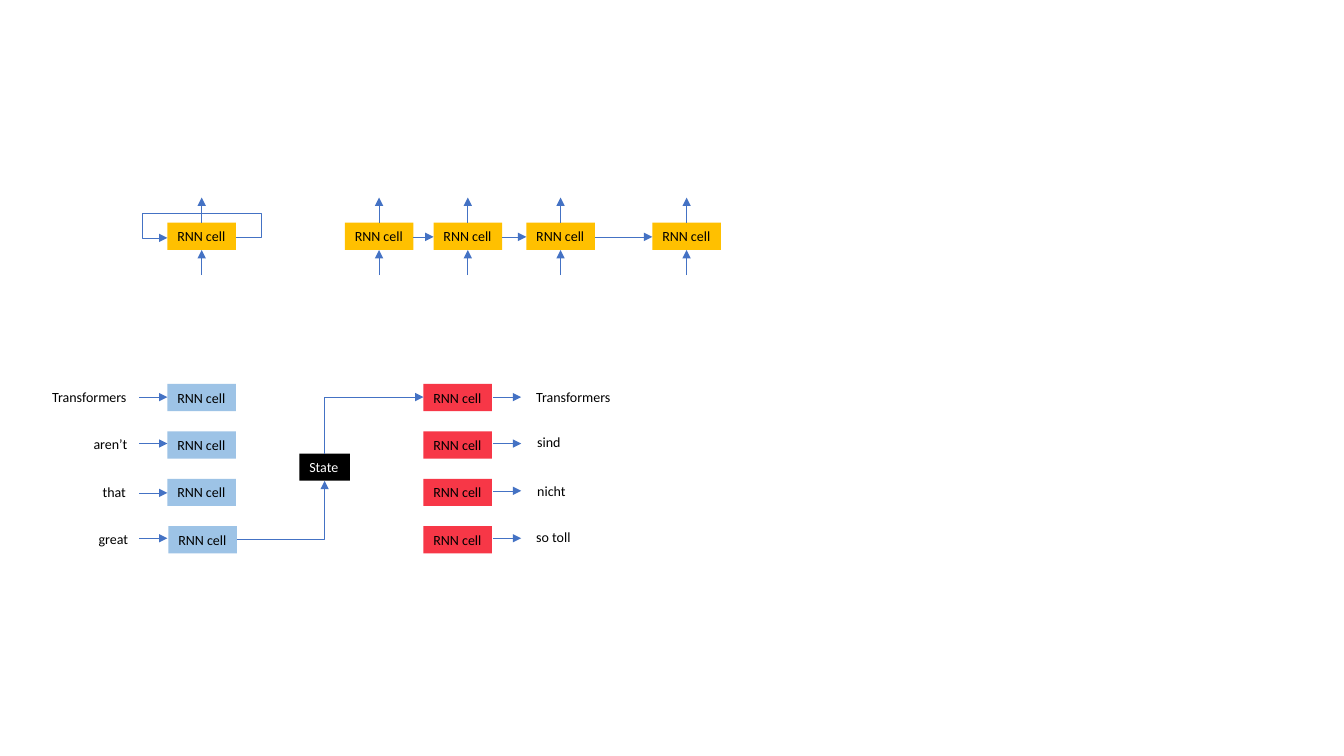
from dataclasses import dataclass

from lxml.etree import SubElement
from pptx import Presentation
from pptx.dml.color import RGBColor
from pptx.enum.shapes import MSO_CONNECTOR, MSO_SHAPE
from pptx.enum.text import MSO_AUTO_SIZE
from pptx.oxml.ns import qn
from pptx.shapes.connector import Connector
from pptx.shapes.shapetree import GroupShapes
from pptx.text.text import TextFrame
from pptx.util import Inches, Pt

Point = tuple[float, float]


@dataclass(frozen=True)
class Theme:
    font: str = "Calibri"
    text_size: float = 10
    line_width: float = 0.5
    unrolled: str = "FFC000"
    encoder: str = "9DC3E6"
    decoder: str = "F73747"
    state: str = "000000"
    arrow: str = "4472C4"
    dark_text: str = "000000"
    light_text: str = "FFFFFF"


@dataclass(frozen=True)
class Word:
    text: str
    left: float
    top: float
    width: float
    arrow_y: float


THEME = Theme()
CELL_WIDTH, BOX_HEIGHT = 0.68, 0.27

# Recurrent cell (first) and its unrolled sequence
RECURRENT_TOP, RECURRENT_MIDDLE = 2.21, 2.35
RECURRENT_LEFTS = [1.66, 3.42, 4.3, 5.22, 6.47]
ARROW_LENGTH = 0.25

# Encoder and decoder
ENCODER_LEFTS = [1.66, 1.66, 1.66, 1.67]
DECODER_LEFT = 4.2
ROW_TOP, ROW_STEP = 3.81, 0.47
STATE_LEFT, STATE_TOP, STATE_WIDTH = 2.97, 4.5, 0.5
ENGLISH = [
    Word("Transformers", 0.42, 3.81, 0.96, 3.94),
    Word("aren’t", 0.83, 4.27, 0.54, 4.4),
    Word("that", 0.92, 4.75, 0.44, 4.89),
    Word("great", 0.88, 5.21, 0.5, 5.34),
]
GERMAN = [
    Word("Transformers", 5.22, 3.81, 0.96, 3.94),
    Word("sind", 5.23, 4.25, 0.47, 4.4),
    Word("nicht", 5.23, 4.74, 0.52, 4.87),
    Word("so toll", 5.22, 5.19, 0.58, 5.34),
]


def write_text(frame: TextFrame, text: str, color: str) -> None:
    frame.text = text
    frame.word_wrap = False
    frame.auto_size = MSO_AUTO_SIZE.SHAPE_TO_FIT_TEXT
    font = frame.paragraphs[0].font
    font.name, font.size = THEME.font, Pt(THEME.text_size)
    font.color.rgb = RGBColor.from_string(color)


def add_box(shapes: GroupShapes, text: str, left: float, top: float,
            width: float, fill: str, color: str = THEME.dark_text) -> None:
    box = shapes.add_shape(MSO_SHAPE.RECTANGLE, Inches(left), Inches(top),
                           Inches(width), Inches(BOX_HEIGHT))
    box.shadow.inherit = False
    box.fill.solid()
    box.fill.fore_color.rgb = RGBColor.from_string(fill)
    box.line.fill.background()
    write_text(box.text_frame, text, color)
    box.text_frame.paragraphs[0].alignment = 1


def add_cell(shapes: GroupShapes, left: float, top: float, fill: str) -> None:
    add_box(shapes, "RNN cell", left, top, CELL_WIDTH, fill)


def add_word(shapes: GroupShapes, word: Word) -> None:
    label = shapes.add_textbox(Inches(word.left), Inches(word.top),
                               Inches(word.width), Inches(BOX_HEIGHT))
    write_text(label.text_frame, word.text, THEME.dark_text)


def add_arrow(shapes: GroupShapes, start: Point, end: Point,
              kind: MSO_CONNECTOR = MSO_CONNECTOR.STRAIGHT) -> Connector:
    arrow = shapes.add_connector(kind, *(Inches(v) for v in (*start, *end)))
    arrow.line.color.rgb = RGBColor.from_string(THEME.arrow)
    arrow.line.width = Pt(THEME.line_width)
    SubElement(arrow.line._get_or_add_ln(), qn("a:tailEnd"), type="triangle")
    SubElement(arrow._element.spPr, qn("a:effectLst"))
    return arrow


def add_corner_arrow(shapes: GroupShapes, start: Point, end: Point,
                     vertical_first: bool = False) -> None:
    if vertical_first:
        # Endpoints before the quarter turn around the centre
        x, y = (start[0] + end[0]) / 2, (start[1] + end[1]) / 2
        start, end = ((x + py - y, y - px + x) for px, py in (start, end))
    arrow = add_arrow(shapes, start, end, MSO_CONNECTOR.ELBOW)
    properties = arrow._element.spPr
    properties.find(qn("a:prstGeom")).set("prst", "bentConnector2")
    if vertical_first:
        properties.find(qn("a:xfrm")).set("rot", "5400000")


def add_loop_arrow(shapes: GroupShapes, start: Point, end: Point,
                   overhang: float, top: float) -> None:
    arrow = add_arrow(shapes, start, end, MSO_CONNECTOR.ELBOW)
    geometry = arrow._element.spPr.find(qn("a:prstGeom"))
    geometry.set("prst", "bentConnector5")
    side = overhang / (start[0] - end[0])
    rise = (top - start[1]) / (end[1] - start[1])
    guides = geometry.get_or_add_avLst()
    for number, ratio in enumerate((-side, rise, 1 + side), 1):
        SubElement(guides, qn("a:gd"), name=f"adj{number}",
                   fmla=f"val {round(ratio * 100000)}")


def draw_recurrent_cells(shapes: GroupShapes) -> None:
    bottom = RECURRENT_TOP + BOX_HEIGHT
    for left in RECURRENT_LEFTS:
        center = left + CELL_WIDTH / 2
        add_cell(shapes, left, RECURRENT_TOP, THEME.unrolled)
        add_arrow(shapes, (center, RECURRENT_TOP),
                  (center, RECURRENT_TOP - ARROW_LENGTH))
        add_arrow(shapes, (center, bottom + ARROW_LENGTH), (center, bottom))

    # Feedback loop, then the links along the sequence
    folded, *sequence = RECURRENT_LEFTS
    add_loop_arrow(shapes, (folded + CELL_WIDTH, RECURRENT_MIDDLE),
                   (folded, RECURRENT_MIDDLE + 0.01), overhang=0.25, top=2.11)
    for left, following in zip(sequence, sequence[1:]):
        add_arrow(shapes, (left + CELL_WIDTH, RECURRENT_MIDDLE),
                  (following, RECURRENT_MIDDLE))


def draw_translation(shapes: GroupShapes) -> None:
    # One row per word: English into the encoder, German out of the decoder
    for row, (left, english, german) in enumerate(zip(ENCODER_LEFTS, ENGLISH, GERMAN)):
        top = ROW_TOP + row * ROW_STEP
        add_cell(shapes, left, top, THEME.encoder)
        add_cell(shapes, DECODER_LEFT, top, THEME.decoder)
        add_word(shapes, english)
        add_word(shapes, german)
        add_arrow(shapes, (1.38, english.arrow_y), (1.66, english.arrow_y))
        add_arrow(shapes, (4.89, german.arrow_y), (5.17, german.arrow_y))

    # State handed from the last encoder cell to the first decoder cell
    add_box(shapes, "State", STATE_LEFT, STATE_TOP, STATE_WIDTH,
            THEME.state, THEME.light_text)
    center = STATE_LEFT + STATE_WIDTH / 2
    add_corner_arrow(shapes, (ENCODER_LEFTS[-1] + CELL_WIDTH, 5.35),
                     (center, STATE_TOP + BOX_HEIGHT))
    add_corner_arrow(shapes, (center, STATE_TOP), (DECODER_LEFT, 3.94),
                     vertical_first=True)


def main() -> None:
    presentation = Presentation()
    presentation.slide_width = Inches(13.33)
    presentation.slide_height = Inches(7.5)
    slide = presentation.slides.add_slide(presentation.slide_layouts[6])
    for draw in (draw_recurrent_cells, draw_translation):
        draw(slide.shapes.add_group_shape().shapes)
    presentation.save("out.pptx")


if __name__ == "__main__":
    main()
